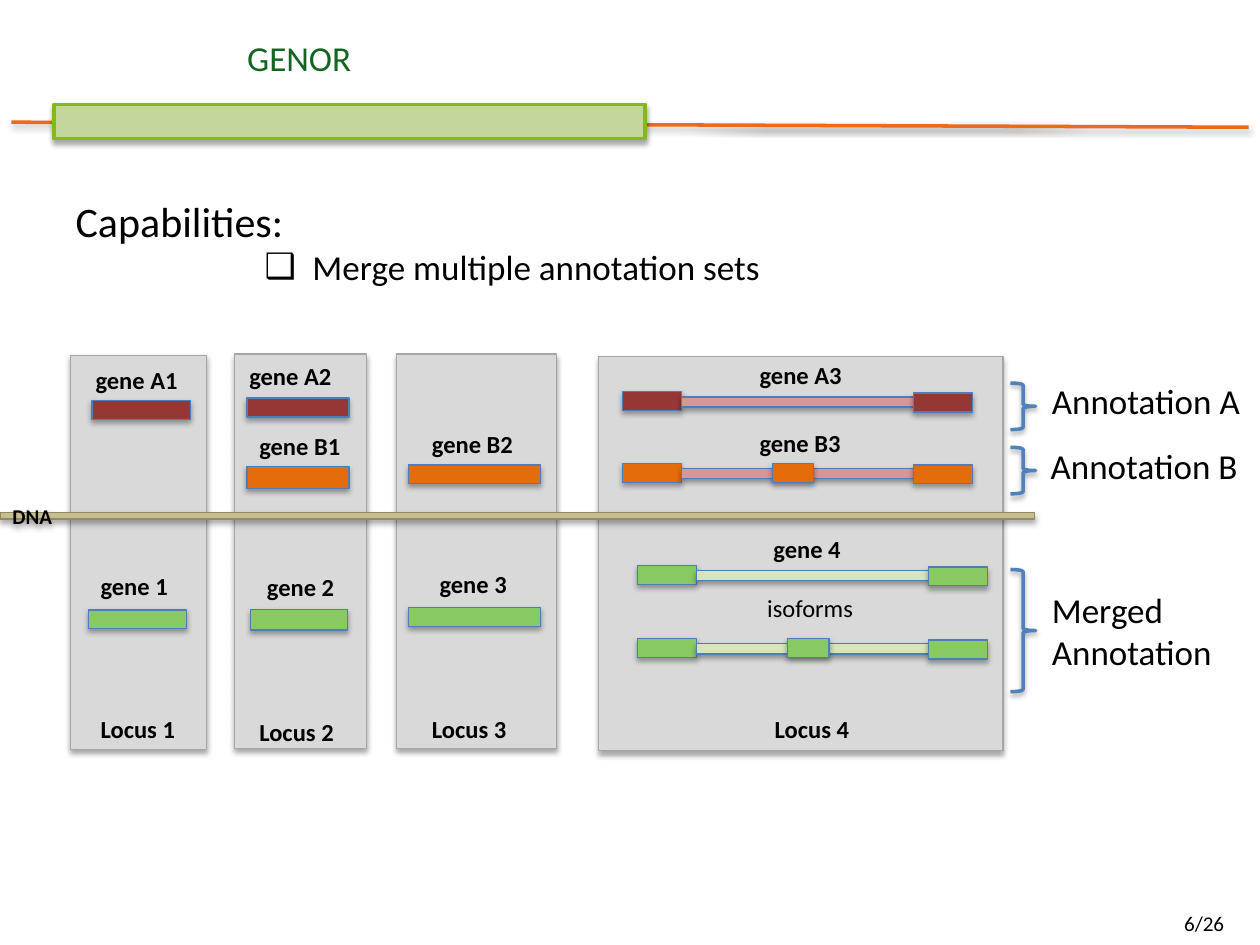
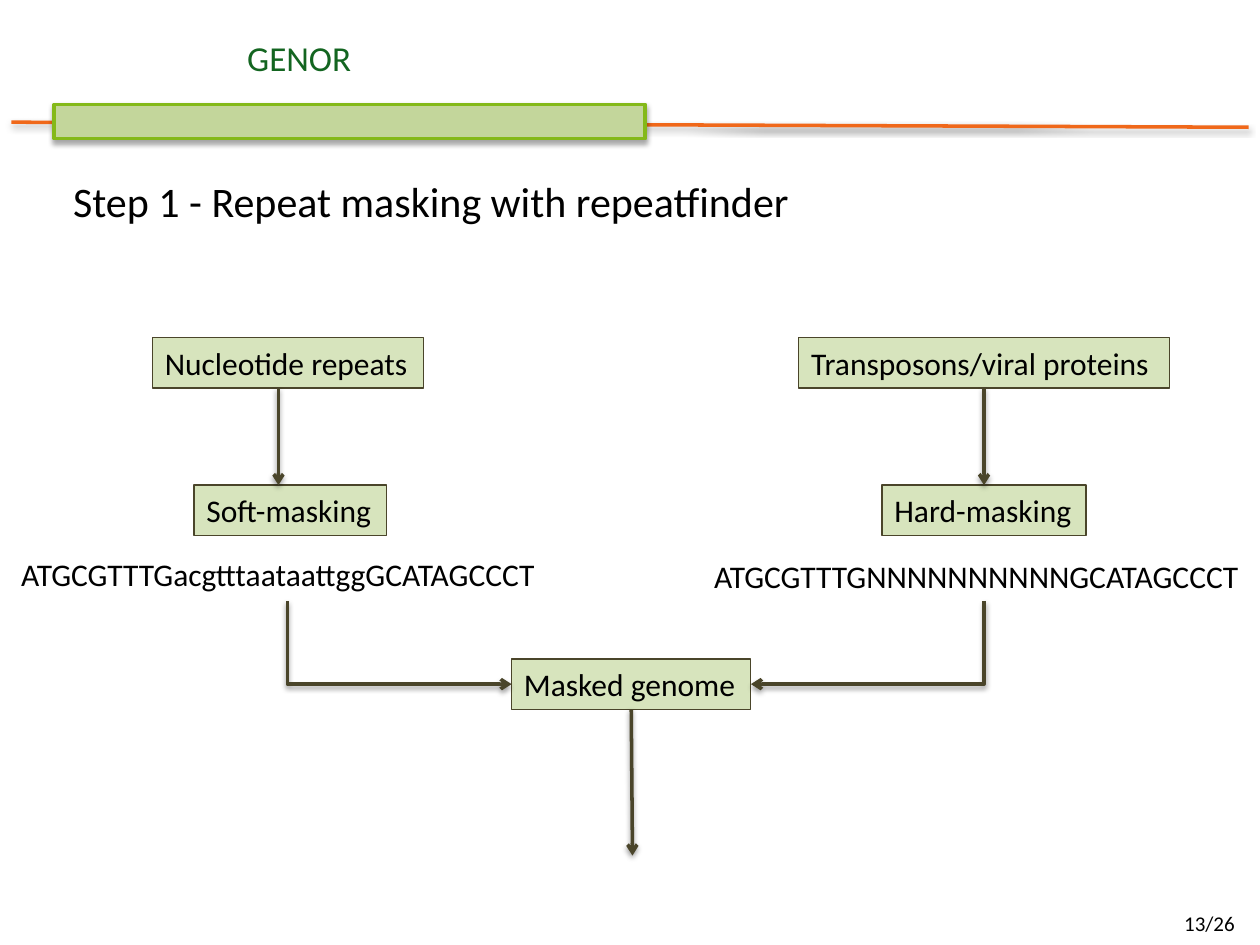
from dataclasses import dataclass
from typing import NamedTuple, Optional

from lxml import etree
from pptx import Presentation
from pptx.dml.color import RGBColor
from pptx.enum.shapes import MSO_CONNECTOR, MSO_SHAPE
from pptx.enum.text import MSO_ANCHOR, MSO_AUTO_SIZE, PP_ALIGN
from pptx.oxml.ns import qn
from pptx.util import Inches, Pt

RECT = MSO_SHAPE.RECTANGLE
BRACE = MSO_SHAPE.RIGHT_BRACE
STRAIGHT = MSO_CONNECTOR.STRAIGHT
ELBOW = MSO_CONNECTOR.ELBOW
ANCHOR_TOP = MSO_ANCHOR.TOP
ANCHOR_MIDDLE = MSO_ANCHOR.MIDDLE
ALIGN_LEFT = PP_ALIGN.LEFT
ALIGN_CENTER = PP_ALIGN.CENTER
NO_AUTOFIT = MSO_AUTO_SIZE.NONE
TOP, LEFT, BOTTOM, RIGHT = range(4)


@dataclass(frozen=True)
class Theme:
    font: str = "Calibri"
    text: str = "000000"
    title: str = "136520"
    rule: str = "F0681A"
    band_fill: str = "C3D69B"
    band_line: str = "84B919"
    panel: str = "D9D9D9"
    panel_line: str = "A6A6A6"
    bar_line: str = "4B7EBC"
    brace: str = "4F81BD"
    set_a: str = "953735"
    set_b: str = "E46C0A"
    merged: str = "89C962"
    intron: str = "D99694"
    pale_green: str = "D7E4BD"
    dna: str = "C4BD97"
    dna_line: str = "948A54"
    flow: str = "4A452A"
    heading_pt: int = 24
    large_pt: int = 20
    flow_pt: int = 18
    label_pt: int = 14
    small_pt: int = 12


T = Theme()


class Box(NamedTuple):
    x: float
    y: float
    w: float
    h: float


class Style(NamedTuple):
    fill: Optional[str]
    line: str
    width: float = 0.75
    shadow: bool = True


class Label(NamedTuple):
    text: str
    x: float
    y: float
    w: float
    wrap: bool = False
    bold: bool = True


class Gene(NamedTuple):
    x: float
    y: float
    exon: str
    intron: str
    middle: bool


def emu(box: Box) -> list:
    return [Inches(v) for v in box]


def add_shadow(sp, alpha: int, dist: float) -> None:
    props = sp._element.spPr
    effects = props.find(qn("a:effectLst"))
    if effects is None:
        effects = etree.SubElement(props, qn("a:effectLst"))
    outer = etree.SubElement(effects, qn("a:outerShdw"), blurRad=str(Pt(3.1)),
                             dist=str(Pt(dist)), dir="5400000", rotWithShape="0")
    color = etree.SubElement(outer, qn("a:srgbClr"), val="000000")
    etree.SubElement(color, qn("a:alpha"), val=str(alpha * 1000))


def add_run(p, text: str, size: int, color: str = T.text, bold: bool = False) -> None:
    r = p.add_run()
    r.text = text
    r.font.name = T.font
    r.font.size = Pt(size)
    r.font.bold = bold
    r.font.color.rgb = RGBColor.from_string(color)


def add_text(slide, box: Box, lines: list[str], size: int,
             bold: bool = False, wrap: bool = True) -> None:
    tf = slide.shapes.add_textbox(*emu(box)).text_frame
    tf.word_wrap = wrap
    for i, line in enumerate(lines):
        p = tf.add_paragraph() if i else tf.paragraphs[0]
        add_run(p, line, size, bold=bold)


def add_box(slide, box: Box, style: Style, kind=RECT):
    sp = slide.shapes.add_shape(kind, *emu(box))
    sp.shadow.inherit = False
    if style.fill:
        sp.fill.solid()
        sp.fill.fore_color.rgb = RGBColor.from_string(style.fill)
    else:
        sp.fill.background()
    sp.line.color.rgb = RGBColor.from_string(style.line)
    sp.line.width = Pt(style.width)
    if style.shadow:
        add_shadow(sp, 35, 1.8)
    return sp


def add_line(slide, start: tuple, end: tuple, color: str, kind=STRAIGHT, arrow: bool = False):
    sp = slide.shapes.add_connector(kind, *[Inches(v) for v in (*start, *end)])
    sp.line.color.rgb = RGBColor.from_string(color)
    sp.line.width = Pt(2)
    if arrow:
        etree.SubElement(sp.line._get_or_add_ln(), qn("a:tailEnd"), type="arrow")
    add_shadow(sp, 38, 1.6)
    return sp


def add_corner_arrow(slide, start: tuple, end: tuple, target, side: int) -> None:
    sp = add_line(slide, start, end, T.flow, ELBOW, arrow=True)
    sp.end_connect(target, side)
    (x1, y1), (x2, y2) = start, end
    w, h = y2 - y1, abs(x2 - x1)
    sp.left, sp.top = Inches((x1 + x2 - w) / 2), Inches((y1 + y2 - h) / 2)
    sp.width, sp.height = Inches(w), Inches(h)
    props = sp._element.spPr
    props.find(qn("a:prstGeom")).set("prst", "bentConnector2")
    xfrm = props.find(qn("a:xfrm"))
    to_right = x2 > x1
    xfrm.set("rot", str((270 if to_right else 90) * 60000))
    xfrm.set("flipH", "1" if to_right else "0")
    xfrm.set("flipV", "0")


def add_base(prs, page: str):
    slide = prs.slides.add_slide(prs.slide_layouts[1])
    add_line(slide, (0.09, 0.97), (9.91, 1.01), T.rule)
    add_box(slide, Box(0.43, 0.83, 4.69, 0.27), Style(T.band_fill, T.band_line, 2.25))
    title = slide.shapes.title
    title.left, title.top, title.width, title.height = emu(Box(0.5, 0.24, 3.75, 0.48))
    tf = title.text_frame
    tf.vertical_anchor = ANCHOR_TOP
    p = tf.paragraphs[0]
    p.alignment = ALIGN_CENTER
    add_run(p, "GENOR", T.large_pt, T.title)
    add_text(slide, Box(9.3, 7.18, 0.7, 0.32), [page], T.small_pt)
    return slide


def fill_body(slide, box: Box, heading: str, items: tuple = ()) -> None:
    body = slide.placeholders[1]
    body.left, body.top, body.width, body.height = emu(box)
    tf = body.text_frame
    tf.auto_size = NO_AUTOFIT
    p = tf.paragraphs[0]
    p.space_before = Pt(0)
    props = p._p.get_or_add_pPr()
    props.set("marL", "0")
    props.set("indent", "0")
    etree.SubElement(props, qn("a:buNone"))
    add_run(p, heading, T.heading_pt)
    for item in items:
        p = tf.add_paragraph()
        p.level = 3
        p.space_before = Pt(0)
        props = p._p.get_or_add_pPr()
        props.set("marL", str(Inches(1.88)))
        props.set("indent", str(Inches(-0.38)))
        etree.SubElement(props, qn("a:buChar"), char="❑")
        add_run(p, item, T.large_pt)


def add_gene(slide, gene: Gene) -> None:
    exon_w, intron_w, exon_h = 0.47, 1.84, 0.15
    exon = Style(gene.exon, T.bar_line)
    intron_x = gene.x + exon_w
    add_box(slide, Box(gene.x, gene.y, exon_w, exon_h), exon)
    add_box(slide, Box(intron_x, gene.y + 0.04, intron_w, 0.08), Style(gene.intron, T.bar_line))
    add_box(slide, Box(intron_x + intron_w, gene.y + 0.01, exon_w, exon_h), exon)
    if gene.middle:
        add_box(slide, Box(gene.x + 1.19, gene.y, 0.33, exon_h), exon)


LOCI = (Box(4.75, 2.83, 3.21, 3.13), Box(3.15, 2.81, 1.27, 3.13),
        Box(0.56, 2.82, 1.08, 3.13), Box(1.86, 2.81, 1.05, 3.13))

BARS = (
    (T.set_a, Box(0.73, 3.18, 0.78, 0.15)),
    (T.set_a, Box(1.96, 3.16, 0.81, 0.15)),
    (T.set_b, Box(1.96, 3.7, 0.81, 0.18)),
    (T.set_b, Box(3.24, 3.69, 1.05, 0.15)),
    (T.merged, Box(0.7, 4.84, 0.78, 0.15)),
    (T.merged, Box(1.99, 4.84, 0.77, 0.16)),
    (T.merged, Box(3.24, 4.82, 1.05, 0.15)),
)

GENES = (
    Gene(4.94, 3.11, T.set_a, T.intron, False),
    Gene(4.94, 3.68, T.set_b, T.intron, True),
    Gene(5.06, 4.49, T.merged, T.pale_green, False),
    Gene(5.06, 5.07, T.merged, T.pale_green, True),
)

LABELS = (
    Label("gene A1", 0.66, 2.85, 0.91, wrap=True),
    Label("gene A2", 1.88, 2.82, 0.91, wrap=True),
    Label("gene A3", 5.93, 2.81, 0.98, wrap=True),
    Label("gene B1", 1.96, 3.37, 0.87, wrap=True),
    Label("gene B2", 3.33, 3.36, 0.87, wrap=True),
    Label("gene B3", 5.93, 3.35, 0.87, wrap=True),
    Label("gene 1", 0.7, 4.48, 0.74),
    Label("gene 2", 2.02, 4.49, 0.74),
    Label("gene 3", 3.39, 4.47, 0.74),
    Label("gene 4", 6.04, 4.19, 0.74),
    Label("isoforms", 5.99, 4.66, 0.92, bold=False),
    Label("Locus 1", 0.7, 5.62, 0.81),
    Label("Locus 2", 1.96, 5.64, 0.81),
    Label("Locus 3", 3.33, 5.62, 0.81),
    Label("Locus 4", 6.05, 5.62, 0.81),
)

ANNOTATIONS = (
    (["Annotation A"], Box(8.25, 2.96, 1.93, 0.44), 3.04, 0.37),
    (["Annotation B"], Box(8.24, 3.48, 1.82, 0.44), 3.55, 0.37),
    (["Merged", "Annotation"], Box(8.25, 4.62, 1.64, 0.77), 4.52, 0.97),
)

STEPS = {
    "Nucleotide repeats": Box(1.21, 2.68, 2.15, 0.4),
    "Transposons/viral proteins": Box(6.34, 2.68, 2.94, 0.4),
    "Soft-masking": Box(1.54, 3.85, 1.53, 0.4),
    "Hard-masking": Box(7, 3.85, 1.62, 0.4),
    "Masked genome": Box(4.06, 5.23, 1.9, 0.4),
}


def build_merge_slide(prs) -> None:
    slide = add_base(prs, "6/26")
    fill_body(slide, Box(0.5, 1.5, 9.27, 0.84), "Capabilities:",
              ("Merge multiple annotation sets",))
    for locus in LOCI:
        add_box(slide, locus, Style(T.panel, T.panel_line))
    for color, bar in BARS:
        add_box(slide, bar, Style(color, T.bar_line))
    for gene in GENES:
        add_gene(slide, gene)
    for label in LABELS:
        add_text(slide, Box(label.x, label.y, label.w, 0.34), [label.text],
                 T.label_pt, label.bold, label.wrap)
    for lines, box, brace_y, brace_h in ANNOTATIONS:
        add_text(slide, box, lines, T.large_pt)
        add_box(slide, Box(8.02, brace_y, 0.2, brace_h), Style(None, T.brace, 2), BRACE)
    dna = add_box(slide, Box(0, 4.07, 8.21, 0.05), Style(T.dna, T.dna_line))
    tf = dna.text_frame
    tf.vertical_anchor = ANCHOR_MIDDLE
    p = tf.paragraphs[0]
    p.alignment = ALIGN_LEFT
    add_run(p, "DNA", T.small_pt, bold=True)


def build_masking_slide(prs) -> None:
    slide = add_base(prs, "13/26")
    fill_body(slide, Box(0.48, 1.34, 6.52, 0.91), "Step 1 - Repeat masking with repeatfinder")
    steps = {}
    for text, box in STEPS.items():
        sp = add_box(slide, box, Style(T.pale_green, T.flow, shadow=False))
        tf = sp.text_frame
        tf.word_wrap = False
        p = tf.paragraphs[0]
        p.alignment = ALIGN_LEFT
        add_run(p, text, T.flow_pt)
        steps[text] = sp
    for text, box in (("ATGCGTTTGacgtttaataattggGCATAGCCCT", Box(0.07, 4.36, 4.41, 0.4)),
                      ("ATGCGTTTGNNNNNNNNNNGCATAGCCCT", Box(5.57, 4.37, 4.48, 0.4))):
        add_text(slide, box, [text], T.flow_pt, wrap=False)
    add_line(slide, (2.21, 3.08), (2.21, 3.85), T.flow, arrow=True)
    hard = add_line(slide, (7.81, 3.08), (7.81, 3.85), T.flow, arrow=True)
    hard.begin_connect(steps["Transposons/viral proteins"], BOTTOM)
    hard.end_connect(steps["Hard-masking"], TOP)
    masked = steps["Masked genome"]
    add_corner_arrow(slide, (2.28, 4.77), (4.06, 5.43), masked, LEFT)
    add_corner_arrow(slide, (7.81, 4.77), (5.96, 5.43), masked, RIGHT)
    result = add_line(slide, (5.01, 5.63), (5.02, 6.79), T.flow, arrow=True)
    result.begin_connect(masked, BOTTOM)


def main() -> None:
    prs = Presentation()
    prs.slide_width, prs.slide_height = Inches(10), Inches(7.5)
    build_merge_slide(prs)
    build_masking_slide(prs)
    prs.save("out.pptx")


if __name__ == "__main__":
    main()
